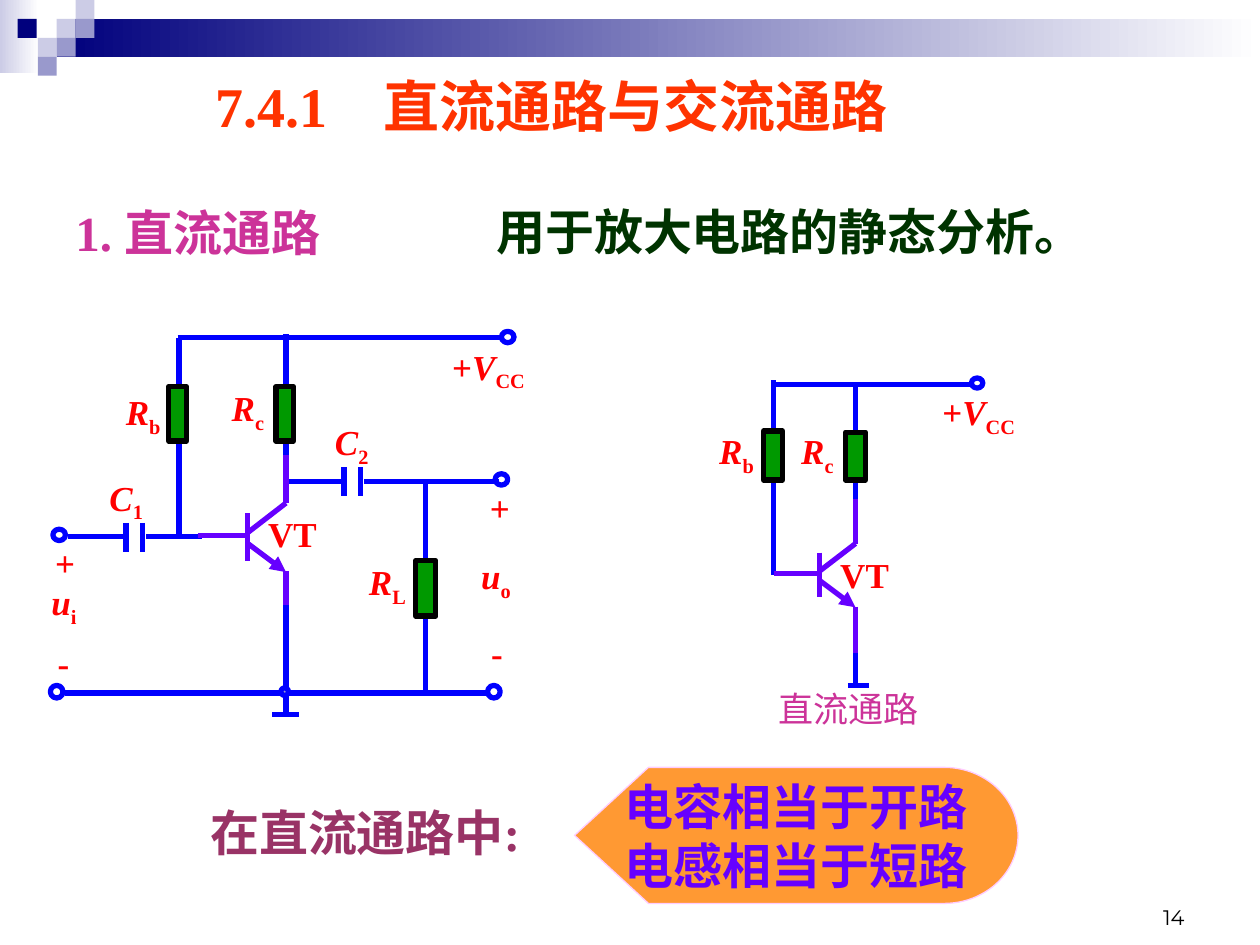
from dataclasses import dataclass
from typing import Any

from lxml.etree import SubElement
from pptx import Presentation
from pptx.dml.color import RGBColor
from pptx.enum.shapes import MSO_CONNECTOR, MSO_SHAPE
from pptx.enum.text import MSO_ANCHOR, PP_ALIGN
from pptx.oxml.ns import qn
from pptx.util import Inches, Pt

COLORS = {
    "navy": "00007D", "lilac": "9999CC", "pale": "CCCCE6", "white": "FFFFFF",
    "wire": "0000FF", "violet": "6600FF", "resistor": "009900", "black": "000000",
    "label": "FF0000", "title": "FF3300", "magenta": "CC3399", "green": "003300",
    "plum": "993366", "orange": "FF9933", "edge": "FFCCFF",
}
SERIF = "Times New Roman"


def color(name):
    return RGBColor.from_string(COLORS[name])


@dataclass
class Panel:
    """Draws on a shape collection, in inches from its own left top corner."""
    shapes: Any
    left: float = 0
    top: float = 0

    def place(self, x, y):
        return Inches(self.left + x), Inches(self.top + y)

    def shape(self, kind, x, y, width, height, fill=None, line=None, weight=3):
        shape = self.shapes.add_shape(kind, *self.place(x, y), Inches(width), Inches(height))
        shape.shadow.inherit = False
        if fill:
            shape.fill.solid()
            shape.fill.fore_color.rgb = color(fill)
        else:
            shape.fill.background()
        if line:
            shape.line.color.rgb = color(line)
            shape.line.width = Pt(weight)
        else:
            shape.line.fill.background()
        return shape

    def gradient(self, x, y, width, height, start):
        box = self.shape(MSO_SHAPE.RECTANGLE, x, y, width, height)
        box.fill.gradient()
        box.fill.gradient_angle = 0
        for stop, name, position in zip(box.fill.gradient_stops, (start, "white"), (0, 1)):
            stop.color.rgb = color(name)
            stop.position = position

    def wire(self, x1, y1, x2, y2, name="wire", arrow=False):
        wire = self.shapes.add_connector(
            MSO_CONNECTOR.STRAIGHT, *self.place(x1, y1), *self.place(x2, y2))
        wire.line.color.rgb = color(name)
        wire.line.width = Pt(3)
        if arrow:
            SubElement(wire.line._get_or_add_ln(), qn("a:tailEnd"), type="triangle")
        SubElement(wire._element.spPr, qn("a:effectLst"))

    def terminal(self, x, y, width=0.1, height=0.09):
        self.shape(MSO_SHAPE.OVAL, x, y, width, height, line="wire")

    def resistor(self, x, y, width, height):
        self.shape(MSO_SHAPE.RECTANGLE, x, y, width, height, "resistor", "black")

    def capacitor(self, x, y):
        for plate in (x, x + 0.13):
            self.wire(plate, y, plate, y + 0.23)

    def transistor(self, x, y, width, height):
        bar = 0.56
        parts = [
            (1, 0.7, 1, 1),
            (bar, 0.35, bar, 0.64),
            (bar, 0.47, 1, 0.29),
            (1, 0.29, 1, 0),
            (0, 0.485, bar, 0.485),
        ]
        for x1, y1, x2, y2 in parts:
            self.wire(x + x1 * width, y + y1 * height,
                      x + x2 * width, y + y2 * height, "violet")
        self.wire(x + bar * width, y + 0.53 * height,
                  x + width, y + 0.705 * height, "violet", arrow=True)

    def text(self, x, y, width, height, content, size=28, name="label", bold=True, font=SERIF):
        box = self.shapes.add_textbox(*self.place(x, y), Inches(width), Inches(height))
        box.text_frame.word_wrap = True
        para = box.text_frame.paragraphs[0]
        add_span(para, content, size, name, bold, font)
        return box

    def symbol(self, x, y, width, letter, subscript="", sign=""):
        """Writes a circuit quantity: upright sign, italic letter, subscript."""
        height = 0.48 if subscript else 0.44
        box = self.text(x, y, width, height, sign or letter, 20)
        para = box.text_frame.paragraphs[0]
        if sign and letter:
            add_span(para, letter, 20).font.italic = True
        elif subscript:
            para.runs[0].font.italic = True
        if subscript:
            span = add_span(para, subscript, 20)
            span.font._element.set("baseline", "-25000")


def add_span(para, content, size, name="label", bold=True, font=SERIF):
    span = para.add_run()
    span.text = content
    span.font.size = Pt(size)
    span.font.name = font
    span.font.bold = bold
    span.font.color.rgb = color(name)
    return span


def draw_header(panel):
    panel.gradient(0, 0, 0.31, 0.58, "pale")
    panel.gradient(0.45, 0.15, 9.55, 0.3, "navy")
    squares = [
        (0.45, 0.15, "pale"), (0.6, 0, "pale"), (0.6, 0.15, "lilac"), (0.3, 0.3, "pale"),
        (0.14, 0.15, "navy"), (0.45, 0.3, "lilac"), (0.3, 0.45, "lilac"),
    ]
    for x, y, fill in squares:
        panel.shape(MSO_SHAPE.RECTANGLE, x, y, 0.15, 0.15, fill)


def draw_amplifier(panel):
    wires = [
        (3.08, 1.21, 3.08, 2.91), (1.12, 0.08, 1.12, 1.68), (1.97, 1.03, 1.97, 0.05),
        (2.59, 1.22, 3.66, 1.22), (1.99, 1.22, 2.41, 1.22), (1.11, 0.08, 3.7, 0.08),
        (0.22, 2.9, 3.58, 2.9), (0.86, 1.66, 1.3, 1.66), (0.7, 1.66, 0.24, 1.66),
    ]
    for ends in wires:
        panel.wire(*ends)
    panel.transistor(1.27, 1.01, 0.7, 1.32)
    panel.capacitor(0.7, 1.55)
    panel.capacitor(2.43, 1.11)
    for x, y in [(3.63, 1.16), (3.68, 0.03), (0.12, 1.6)]:
        panel.terminal(x, y)
    for x in (0.1, 3.57):
        panel.terminal(x, 2.84, height=0.1)
    for x in (1.04, 1.89):
        panel.resistor(x, 0.47, 0.14, 0.43)
    panel.resistor(3, 1.85, 0.16, 0.44)
    panel.wire(1.97, 2.2, 1.97, 3.06)
    panel.wire(1.86, 3.07, 2.07, 3.07)
    panel.shape(MSO_SHAPE.OVAL, 1.93, 2.86, 0.06, 0.06, "lilac", "wire")
    symbols = [
        (0.6, 0.45, 0.8, "R", "b"), (1.44, 0.42, 0.88, "R", "c"), (2.53, 1.8, 0.58, "R", "L"),
        (0.47, 1.13, 0.55, "C", "1"), (2.26, 0.69, 0.65, "C", "2"),
        (0.01, 1.96, 0.54, "u", "i"), (3.42, 1.75, 0.6, "u", "o"),
        (3.19, 0.09, 0.95, "V", "CC", "+"), (1.73, 1.42, 0.85, "VT"),
        (0.04, 1.65, 0.44, "+"), (0.06, 2.44, 0.53, "-"),
        (3.49, 1.21, 0.44, "+"), (3.5, 2.36, 0.53, "-"),
    ]
    for symbol in symbols:
        panel.symbol(*symbol)


def draw_direct_path(panel):
    wires = [
        (1.19, 1, 1.19, 0.03), (0.54, 1.56, 0.54, 0.02), (1.19, 2.15, 1.19, 2.44),
        (1.13, 2.44, 1.3, 2.44), (0.54, 0.05, 2.12, 0.05),
    ]
    for ends in wires:
        panel.wire(*ends)
    panel.transistor(0.54, 0.96, 0.65, 1.22)
    panel.resistor(0.46, 0.42, 0.15, 0.39)
    panel.resistor(1.11, 0.43, 0.16, 0.38)
    panel.terminal(2.11, 0, 0.09, 0.08)
    symbols = [
        (0.01, 0.36, 0.51, "R", "b"), (0.66, 0.36, 0.53, "R", "c"),
        (0.97, 1.34, 0.79, "VT"), (1.78, 0.05, 0.81, "V", "CC", "+"),
    ]
    for symbol in symbols:
        panel.symbol(*symbol)
    panel.text(0.48, 2.41, 1.78, 0.44, "直流通路", 20, "magenta", bold=False)


def draw_conclusion(panel):
    panel.text(0, 0.23, 2.83, 0.57, "在直流通路中:", name="plum")
    callout = panel.shape(MSO_SHAPE.FLOWCHART_DISPLAY, 2.99, 0, 3.52, 1.08,
                          "orange", "edge", 0.75)
    frame = callout.text_frame
    frame.word_wrap = False
    frame.vertical_anchor = MSO_ANCHOR.MIDDLE
    paras = [frame.paragraphs[0], frame.add_paragraph()]
    for para, content in zip(paras, ("电容相当于开路", "电感相当于短路")):
        para.alignment = PP_ALIGN.CENTER
        add_span(para, content, 28, "violet")


def draw_headings(panel):
    panel.text(1.61, 0.52, 6.75, 0.64, "7.4.1　直流通路与交流通路", 32, "title")
    panel.text(0.5, 1.56, 2.49, 0.57, "1. 直流通路", name="magenta")
    panel.text(3.84, 1.55, 5.15, 0.57, "用于放大电路的静态分析。", name="green")


def draw_page_number(panel):
    box = panel.text(0, 0, 2.33, 0.5, "14", 12, "black", False, "Montserrat")
    box.text_frame.vertical_anchor = MSO_ANCHOR.BOTTOM
    box.text_frame.paragraphs[0].alignment = PP_ALIGN.RIGHT


def main():
    deck = Presentation()
    deck.slide_width, deck.slide_height = Inches(10), Inches(7.5)
    page = deck.slides.add_slide(deck.slide_layouts[6])
    shapes = page.shapes
    draw_header(Panel(shapes.add_group_shape().shapes))
    draw_page_number(Panel(shapes, 7.17, 6.93))
    draw_conclusion(Panel(shapes, 1.57, 6.09))
    draw_direct_path(Panel(shapes.add_group_shape().shapes, 5.6, 3))
    draw_amplifier(Panel(shapes.add_group_shape().shapes, 0.3, 2.6))
    draw_headings(Panel(shapes))
    deck.save("out.pptx")


if __name__ == "__main__":
    main()
